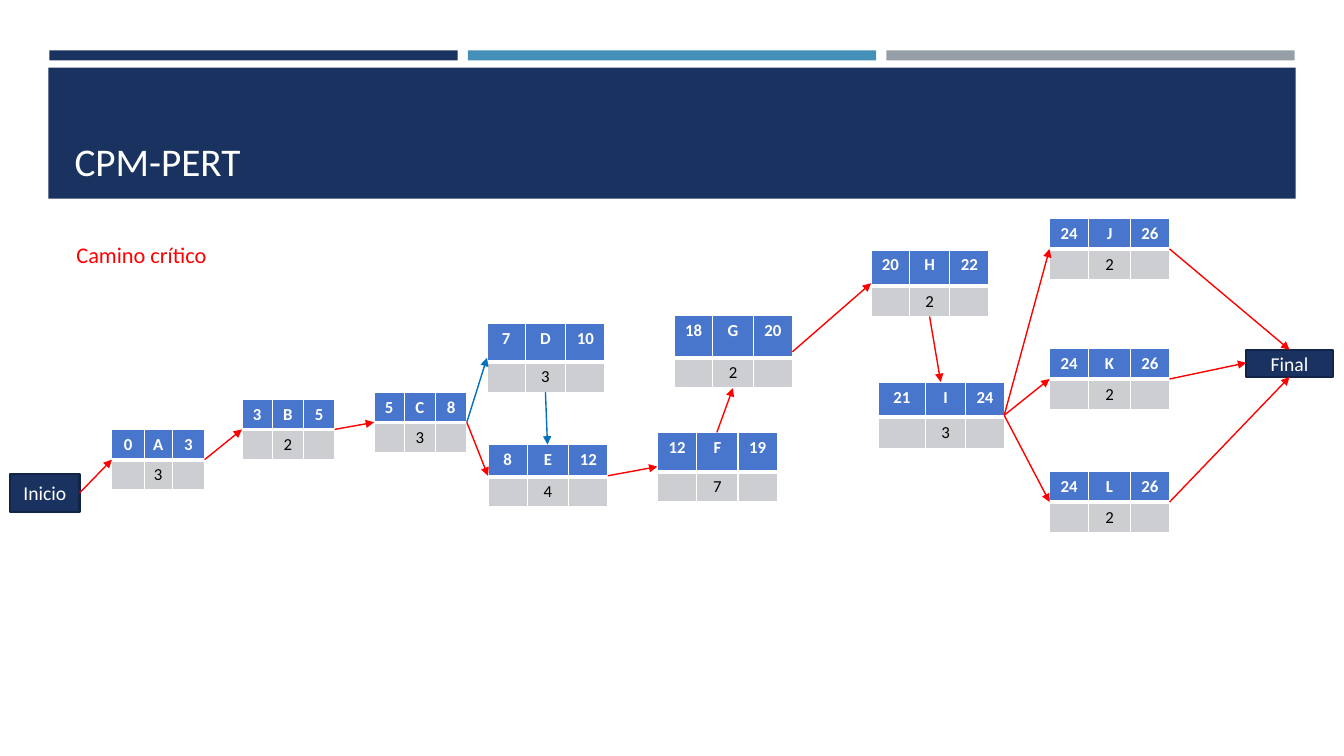
from dataclasses import dataclass

from lxml import etree
from pptx import Presentation
from pptx.dml.color import RGBColor
from pptx.enum.shapes import MSO_CONNECTOR, MSO_SHAPE
from pptx.enum.text import MSO_ANCHOR, MSO_AUTO_SIZE, PP_ALIGN
from pptx.oxml.ns import qn
from pptx.util import Pt

PX = 9144  # EMU per px, 100 px to the inch
FONT = "Calibri"
NAVY = RGBColor(0x1A, 0x32, 0x60)
NAVY_EDGE = RGBColor(0x13, 0x25, 0x47)
SKY = RGBColor(0x45, 0x90, 0xB8)
SLATE = RGBColor(0x96, 0x9F, 0xA7)
HEADER_BLUE = RGBColor(0x48, 0x76, 0xCD)
BODY_GREY = RGBColor(0xCD, 0xCE, 0xD2)
WHITE = RGBColor(0xFF, 0xFF, 0xFF)
BLACK = RGBColor(0, 0, 0)
CRITICAL_RED = RGBColor(0xFF, 0, 0)
SLACK_BLUE = RGBColor(0, 0x70, 0xC0)

RECTANGLE = MSO_SHAPE.RECTANGLE
PROCESS = MSO_SHAPE.FLOWCHART_PROCESS
STRAIGHT = MSO_CONNECTOR.STRAIGHT
LEFT, CENTER = PP_ALIGN.LEFT, PP_ALIGN.CENTER
MIDDLE, BOTTOM = MSO_ANCHOR.MIDDLE, MSO_ANCHOR.BOTTOM
NO_AUTOFIT, GROW = MSO_AUTO_SIZE.NONE, MSO_AUTO_SIZE.SHAPE_TO_FIT_TEXT


@dataclass(frozen=True)
class Box:
    x: int
    y: int
    width: int
    height: int

    def emu(self) -> list[int]:
        return [v * PX for v in (self.x, self.y, self.width, self.height)]

    def port(self, side: str) -> tuple[int, int]:
        """Middle of one side, in px."""
        mid_x, mid_y = self.x + self.width // 2, self.y + self.height // 2
        return {"left": (self.x, mid_y), "right": (self.x + self.width, mid_y),
                "top": (mid_x, self.y), "bottom": (mid_x, self.y + self.height)}[side]


@dataclass(frozen=True)
class Activity:
    start: str
    name: str
    finish: str
    duration: str
    x: int
    y: int
    columns: tuple[int, int, int]
    rows: tuple[int, int]

    def box(self) -> Box:
        return Box(self.x, self.y, sum(self.columns), sum(self.rows))


@dataclass(frozen=True)
class Arrow:
    source: str
    target: str
    exit: str = "right"
    entry: str = "left"
    color: RGBColor = CRITICAL_RED


BANDS = [
    (Box(49, 50, 405, 10), NAVY),
    (Box(464, 50, 405, 10), SKY),
    (Box(879, 50, 405, 10), SLATE),
    (Box(48, 67, 1237, 130), NAVY),
]
NARROW, MEDIUM, WIDE = (30, 31, 31), (38, 40, 39), (39, 41, 39)
ACTIVITIES = [
    Activity("0", "A", "3", "3", 111, 426, (32, 28, 32), (30, 30)),
    Activity("3", "B", "5", "2", 240, 396, NARROW, (30, 30)),
    Activity("5", "C", "8", "3", 371, 389, NARROW, (30, 30)),
    Activity("7", "D", "10", "3", 483, 321, MEDIUM, (38, 30)),
    Activity("8", "E", "12", "4", 484, 441, WIDE, (32, 30)),
    Activity("12", "F", "19", "7", 652, 429, WIDE, (39, 30)),
    Activity("18", "G", "20", "2", 669, 313, MEDIUM, (42, 30)),
    Activity("20", "H", "22", "2", 864, 248, MEDIUM, (36, 30)),
    Activity("21", "I", "24", "3", 871, 379, (47, 40, 38), (35, 31)),
    Activity("24", "J", "26", "2", 1041, 217, WIDE, (30, 30)),
    Activity("24", "K", "26", "2", 1041, 346, WIDE, (30, 30)),
    Activity("24", "L", "26", "2", 1041, 468, WIDE, (30, 30)),
]
TERMINALS = {"Inicio": Box(10, 470, 69, 38), "Final": Box(1236, 347, 86, 27)}
ARROWS = [
    Arrow("Inicio", "A"), Arrow("A", "B"), Arrow("B", "C"),
    Arrow("C", "D", color=SLACK_BLUE),
    Arrow("D", "E", "bottom", "top", SLACK_BLUE),
    Arrow("C", "E"), Arrow("E", "F"), Arrow("F", "G", "top", "bottom"),
    Arrow("G", "H"), Arrow("H", "I", "bottom", "top"),
    Arrow("I", "J"), Arrow("I", "K"), Arrow("I", "L"),
    Arrow("J", "Final", entry="top"), Arrow("K", "Final"),
    Arrow("L", "Final", entry="bottom"),
]


def write(frame, text: str, size: int, color: RGBColor, align=LEFT, bold: bool = False) -> None:
    paragraph = frame.paragraphs[0]
    paragraph.alignment = align
    font = paragraph.font
    font.name, font.size, font.bold = FONT, Pt(size), bold
    font.color.rgb = color
    if text:
        paragraph.add_run().text = text
    else:  # keeps an empty cell as low as its row
        etree.SubElement(paragraph._p, qn("a:endParaRPr"), sz=str(size * 100))


def add_block(slide, preset, box: Box, color: RGBColor):
    block = slide.shapes.add_shape(preset, *box.emu())
    block.shadow.inherit = False
    block.fill.solid()
    block.fill.fore_color.rgb = color
    block.line.fill.background()
    return block


def add_terminal(slide, label: str, box: Box) -> None:
    terminal = add_block(slide, PROCESS, box, NAVY)
    terminal.line.color.rgb = NAVY_EDGE
    terminal.line.width = Pt(1.75)
    terminal.text_frame.vertical_anchor = MIDDLE
    write(terminal.text_frame, label, 14, WHITE, CENTER)


def set_borders(cell, top: int, bottom: int) -> None:
    properties = cell._tc.get_or_add_tcPr()
    widths = {"lnL": 1, "lnR": 1, "lnT": top, "lnB": bottom}
    for position, (tag, width) in enumerate(widths.items()):
        border = etree.Element(qn(f"a:{tag}"), w=str(Pt(width)))
        fill = etree.SubElement(border, qn("a:solidFill"))
        etree.SubElement(fill, qn("a:srgbClr"), val=str(WHITE))
        properties.insert(position, border)


def add_activity(slide, activity: Activity) -> None:
    table = slide.shapes.add_table(2, 3, *activity.box().emu()).table
    table.first_row = table.horz_banding = False
    for column, width in zip(table.columns, activity.columns):
        column.width = width * PX
    for row, height in zip(table.rows, activity.rows):
        row.height = height * PX
    texts = [(activity.start, activity.name, activity.finish), ("", activity.duration, "")]
    for r, row_texts in enumerate(texts):
        header = r == 0
        for c, text in enumerate(row_texts):
            cell = table.cell(r, c)
            cell.margin_left = cell.margin_right = 5 * PX
            cell.fill.solid()
            cell.fill.fore_color.rgb = HEADER_BLUE if header else BODY_GREY
            set_borders(cell, *((1, 3) if header else (3, 1)))
            write(cell.text_frame, text, 12, WHITE if header else BLACK, CENTER, header)


def add_arrow(slide, arrow: Arrow, boxes: dict[str, Box]) -> None:
    ends = boxes[arrow.source].port(arrow.exit) + boxes[arrow.target].port(arrow.entry)
    connector = slide.shapes.add_connector(STRAIGHT, *(v * PX for v in ends))
    connector.line.color.rgb = arrow.color
    connector.line.width = Pt(1)
    etree.SubElement(connector.line._get_or_add_ln(), qn("a:tailEnd"), type="triangle")
    etree.SubElement(connector._element.spPr, qn("a:effectLst"))


def main() -> None:
    presentation = Presentation()
    presentation.slide_width, presentation.slide_height = 1333 * PX, 750 * PX
    slide = presentation.slides.add_slide(presentation.slide_layouts[5])

    # Top bands, with the title in front of them
    for box, color in BANDS:
        add_block(slide, RECTANGLE, box, color)
    title = slide.shapes.title
    slide.shapes.element.append(title.element)
    title.left, title.top, title.width, title.height = Box(64, 77, 1206, 111).emu()
    title.text_frame.auto_size = NO_AUTOFIT
    title.text_frame.vertical_anchor = BOTTOM
    write(title.text_frame, "CPM-PERT", 28, WHITE)

    # Critical path caption
    caption = slide.shapes.add_textbox(*Box(66, 234, 156, 37).emu()).text_frame
    caption.word_wrap = False
    caption.auto_size = GROW
    write(caption, "Camino crítico", 16, CRITICAL_RED)

    # Network: terminals, activities and arrows
    for label, box in TERMINALS.items():
        add_terminal(slide, label, box)
    for activity in ACTIVITIES:
        add_activity(slide, activity)
    boxes = TERMINALS | {activity.name: activity.box() for activity in ACTIVITIES}
    for arrow in ARROWS:
        add_arrow(slide, arrow, boxes)

    presentation.save("out.pptx")


if __name__ == "__main__":
    main()
